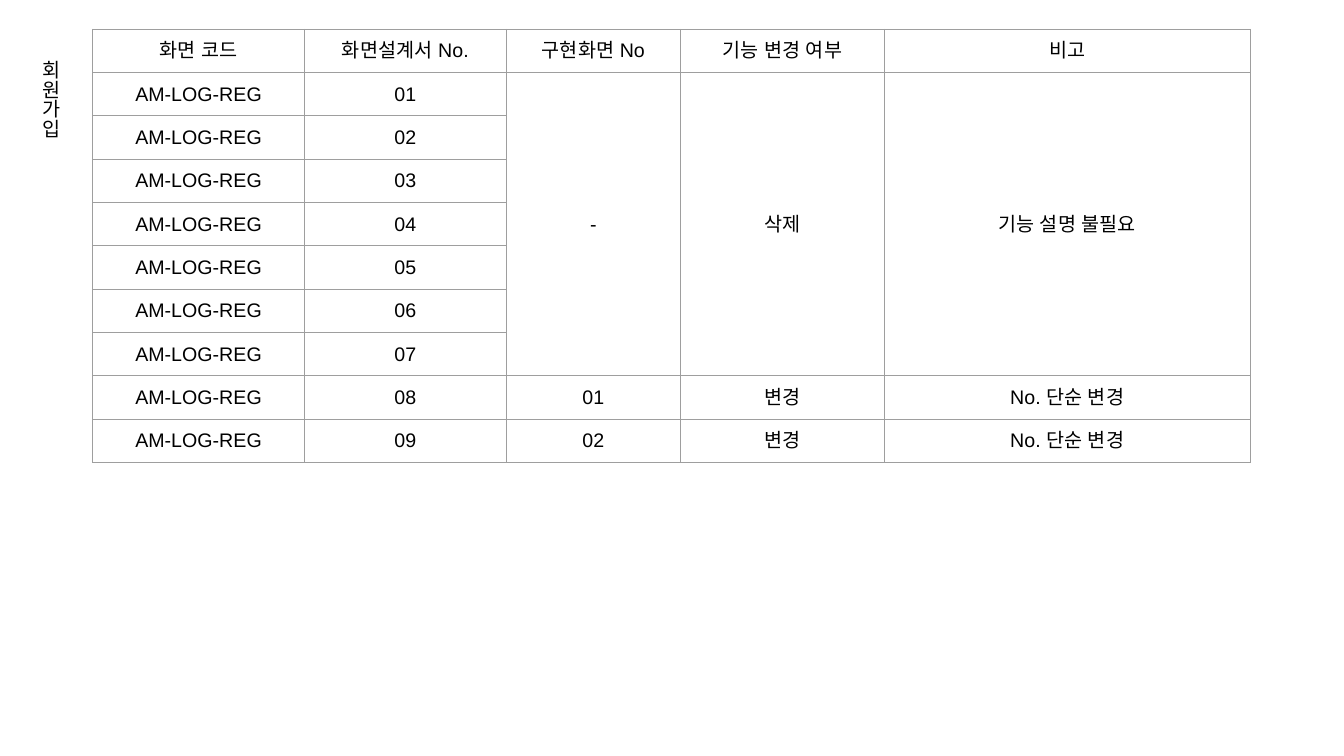
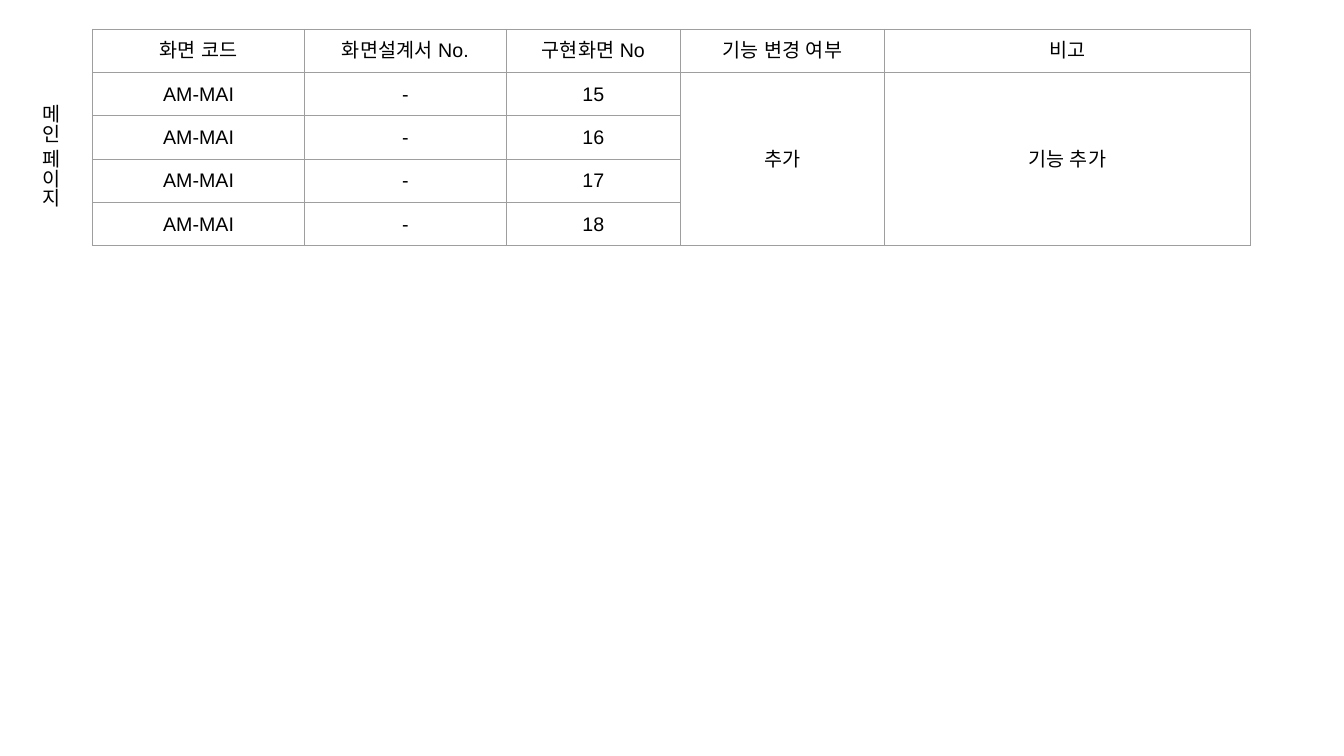
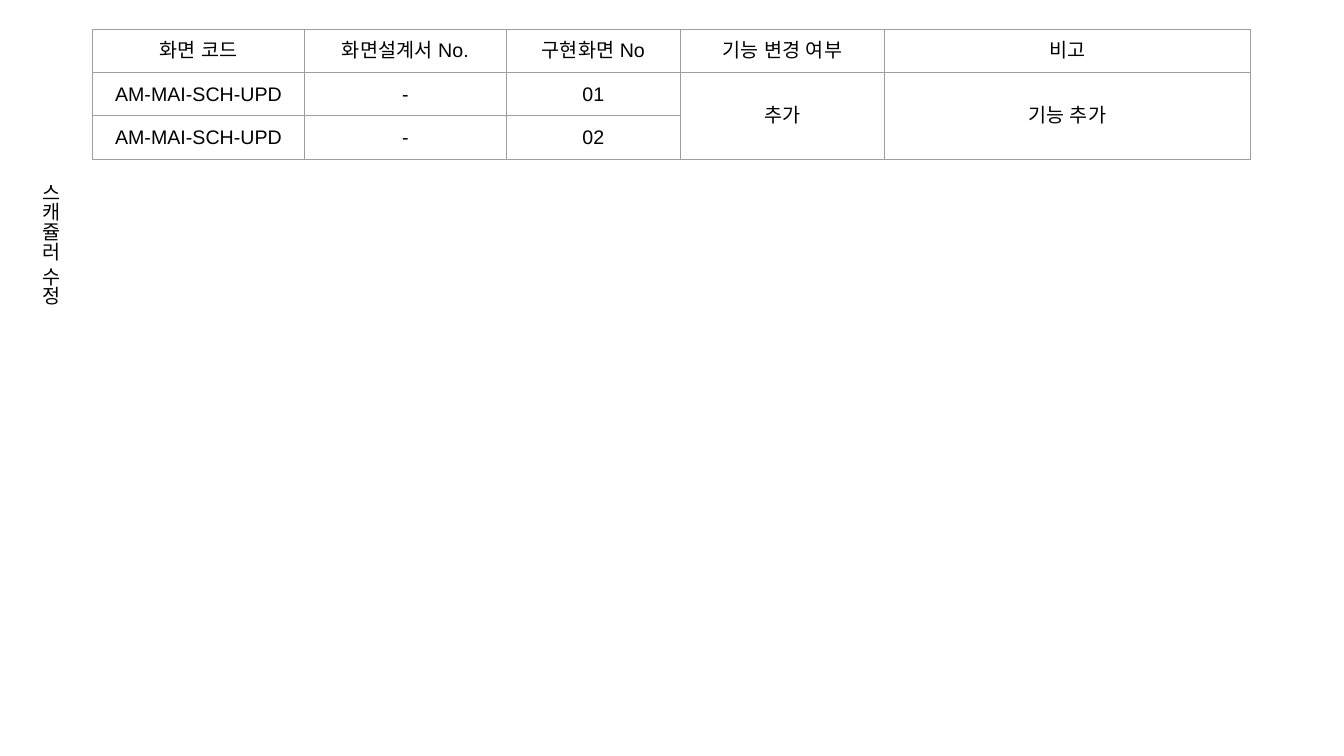
from lxml import etree
from pptx import Presentation
from pptx.dml.color import RGBColor
from pptx.enum.text import MSO_ANCHOR, MSO_AUTO_SIZE, PP_ALIGN
from pptx.oxml.ns import qn
from pptx.util import Inches, Pt

CENTER = PP_ALIGN.CENTER
MIDDLE = MSO_ANCHOR.MIDDLE
GROW = MSO_AUTO_SIZE.SHAPE_TO_FIT_TEXT

FONT, TEXT_SIZE = "Arial", Pt(14)
TEXT_COLOR, BORDER_COLOR = "000000", "9E9E9E"
BORDER_WIDTH = Pt(0.75)
BORDER_SIDES = ("a:lnL", "a:lnR", "a:lnT", "a:lnB")
CELL_INSET = Inches(0.1)
CELL_FORMAT = {
    "margin_left": CELL_INSET,
    "margin_right": CELL_INSET,
    "margin_top": CELL_INSET,
    "margin_bottom": CELL_INSET,
    "vertical_anchor": MIDDLE,
}

TABLE_LEFT, TABLE_TOP = Inches(0.92), Inches(0.29)
COLUMN_WIDTHS = [Inches(width) for width in (2.1, 2, 1.73, 2.02, 3.63)]
ROW_HEIGHT = Inches(0.43)
LABEL_BOX = [Inches(length) for length in (0.23, 0.5, 0.44, 1.63)]

HEADER = ("화면 코드", "화면설계서 No.", "구현화면 No", "기능 변경 여부", "비고")


def color(hex_value):
    return RGBColor.from_string(hex_value)


def write(frame, text):
    para = frame.paragraphs[0]
    span = para.add_run()
    span.text = text
    span.font.name = FONT
    span.font.size = TEXT_SIZE
    span.font.color.rgb = color(TEXT_COLOR)
    etree.SubElement(span.font._element, qn("a:ea"), typeface=FONT)
    return para


def draw_borders(cell):
    properties = cell._tc.get_or_add_tcPr()
    for side in BORDER_SIDES:
        line = etree.SubElement(properties, qn(side), w=str(BORDER_WIDTH))
        fill = etree.SubElement(line, qn("a:solidFill"))
        etree.SubElement(fill, qn("a:srgbClr"), val=BORDER_COLOR)


def merge_down(table, rows):
    """Join each filled cell with the None cells directly below it."""
    for column in range(len(HEADER)):
        start = 0
        for index in range(1, len(rows) + 1):
            if index < len(rows) and rows[index][column] is None:
                continue
            if index - start > 1:
                table.cell(start, column).merge(table.cell(index - 1, column))
            start = index


def add_change_table(page, left, top, records):
    rows = [HEADER, *records]
    frame = page.shapes.add_table(
        len(rows), len(HEADER), left, top,
        sum(COLUMN_WIDTHS), ROW_HEIGHT * len(rows))
    table = frame.table
    table.first_row = False
    table.horz_banding = False
    for column, width in zip(table.columns, COLUMN_WIDTHS):
        column.width = width
    for table_row, values in zip(table.rows, rows):
        table_row.height = ROW_HEIGHT
        for cell, value in zip(table_row.cells, values):
            draw_borders(cell)
            cell.fill.background()
            if value is None:
                continue
            for name, setting in CELL_FORMAT.items():
                setattr(cell, name, setting)
            write(cell.text_frame, value).alignment = CENTER
    merge_down(table, rows)


def add_vertical_label(page, box, text):
    frame = page.shapes.add_textbox(*box).text_frame
    frame.word_wrap = True
    frame.auto_size = GROW
    frame._txBody.bodyPr.set("vert", "eaVert")
    write(frame, text)


def add_change_page(deck, label, records):
    page = deck.slides.add_slide(deck.slide_layouts[6])
    add_change_table(page, TABLE_LEFT, TABLE_TOP, records)
    add_vertical_label(page, LABEL_BOX, label)


def removed_screens(code, numbers):
    notes = ("-", "삭제", "기능 설명 불필요")
    return [(code, f"{number:02}", *(notes if index == 0 else (None,) * 3))
            for index, number in enumerate(numbers)]


def renumbered_screens(code, numbers):
    return [(code, f"{old:02}", f"{new:02}", "변경", "No. 단순 변경")
            for new, old in enumerate(numbers, 1)]


def added_screens(code, numbers):
    notes = ("추가", "기능 추가")
    return [(code, "-", f"{number:02}", *(notes if index == 0 else (None,) * 2))
            for index, number in enumerate(numbers)]


def main():
    deck = Presentation()
    deck.slide_width, deck.slide_height = Inches(13.33), Inches(7.5)
    sign_up = "AM-LOG-REG"
    add_change_page(deck, "회원가입",
                    removed_screens(sign_up, range(1, 8))
                    + renumbered_screens(sign_up, range(8, 10)))
    add_change_page(deck, "메인 페이지", added_screens("AM-MAI", range(15, 19)))
    add_change_page(deck, "스캐쥴러 수정",
                    added_screens("AM-MAI-SCH-UPD", range(1, 3)))
    deck.save("out.pptx")


if __name__ == "__main__":
    main()
